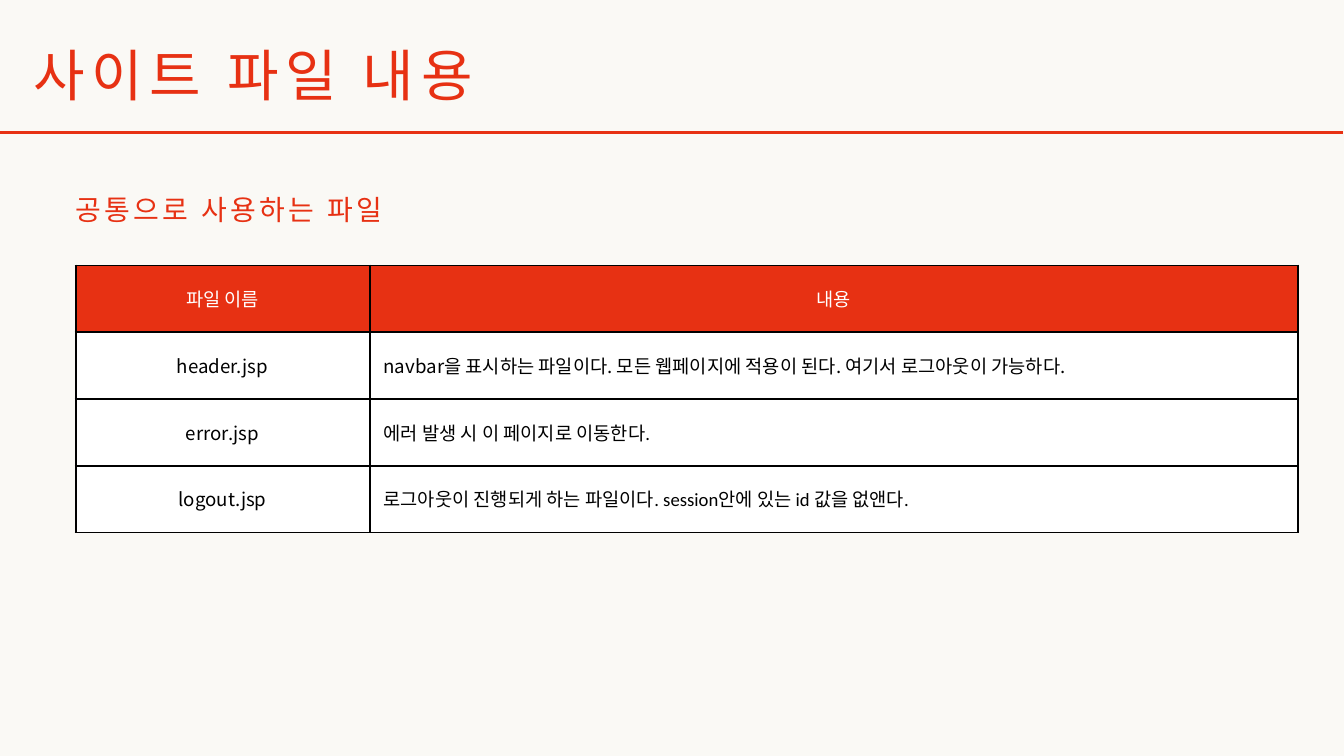
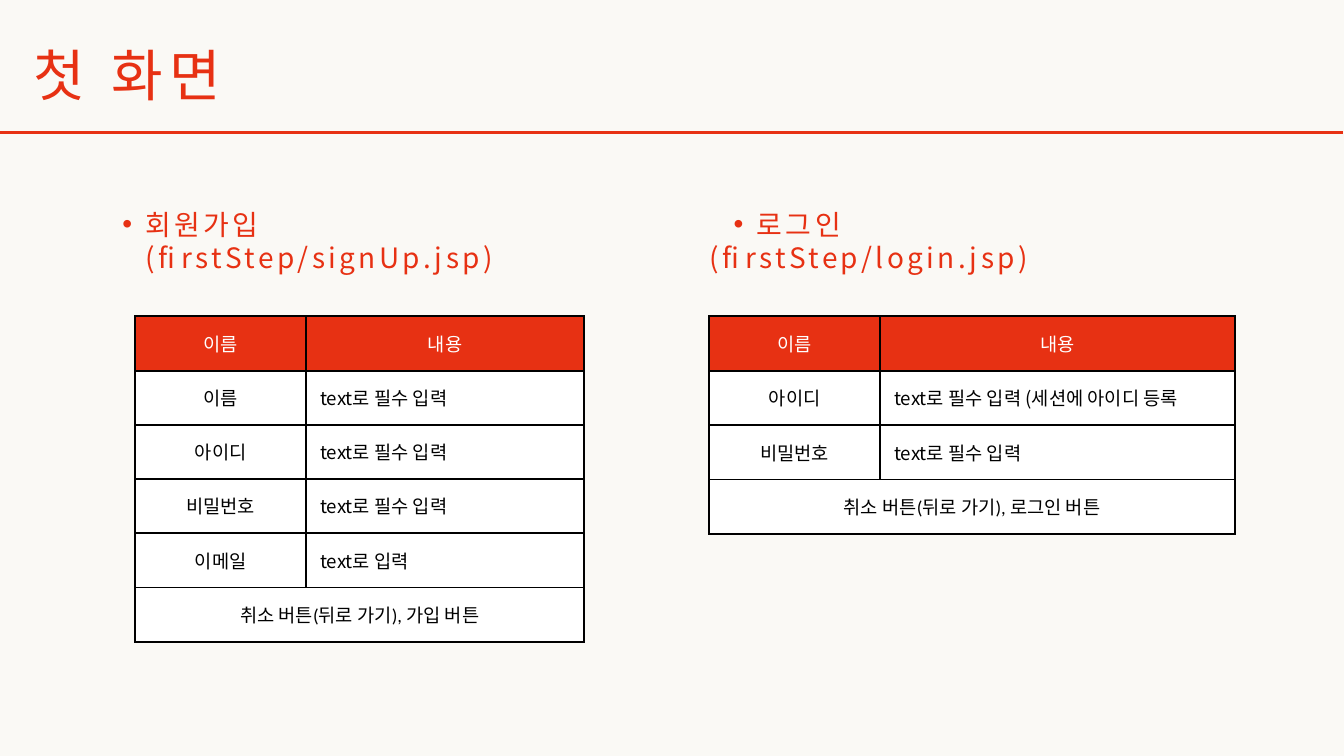
from lxml import etree
from pptx import Presentation
from pptx.dml.color import RGBColor
from pptx.enum.shapes import MSO_CONNECTOR
from pptx.enum.text import MSO_ANCHOR, MSO_AUTO_SIZE, PP_ALIGN
from pptx.oxml.ns import qn
from pptx.util import Pt

LEFT, CENTER = PP_ALIGN.LEFT, PP_ALIGN.CENTER
TOP, MIDDLE = MSO_ANCHOR.TOP, MSO_ANCHOR.MIDDLE
GROW = MSO_AUTO_SIZE.SHAPE_TO_FIT_TEXT
STRAIGHT = MSO_CONNECTOR.STRAIGHT

COLORS = {"paper": "FAF9F5", "accent": "E73113", "white": "FFFFFF", "black": "000000"}
KOREAN, LATIN = "Noto Sans CJK KR", "Calibri"
TITLE_AND_CONTENT, TWO_CONTENT = 1, 3
REQUIRED = ("text로 필수 입력",)

PAGES = [
    {
        "title": "사이트 파일 내용",
        "layout": TITLE_AND_CONTENT,
        "headings": [
            {"at": (81, 206.5, 490, 37.5), "lines": [("공통으로 사용하는 파일", False)]},
        ],
        "tables": [
            {
                "at": (81, 284.5),
                "columns": (315, 995),
                "row_height": 71.5,
                "rows": [
                    [("파일 ", "이름"), ("내용",)],
                    [("header.jsp",),
                     ("navbar을 표시하는 파일이다. 모든 웹페이지에 적용이 된다. 여기서 로그아웃이 가능하다.",)],
                    [("error.jsp",), ("에러 ", "발생 시 이 페이지로 이동한다.")],
                    [("logout.jsp",),
                     ("로그아웃이 ", "진행되게 하는 파일이다. session안에 있는 id 값을 없앤다.")],
                ],
            },
        ],
    },
    {
        "title": "첫 화면",
        "layout": TWO_CONTENT,
        "headings": [
            {"at": (105, 222, 531, 73), "lines": [("회원가입 (firstStep/signUp.jsp)", True)]},
            {"at": (760, 222, 531, 73),
             "lines": [("로그인", True), ("(firstStep/login.jsp)", False)]},
        ],
        "tables": [
            {
                "at": (145, 339),
                "columns": (183, 298),
                "row_height": 58.1,
                "rows": [
                    [("이름",), ("내용",)],
                    [("이름",), REQUIRED],
                    [("아이디",), REQUIRED],
                    [("비밀번호",), REQUIRED],
                    [("이메일",), ("text로 입력",)],
                    [("취소 ", "버튼(뒤로 가기), 가입 버튼")],
                ],
            },
            {
                "at": (760, 339),
                "columns": (183, 380),
                "row_height": 58.3,
                "rows": [
                    [("이름",), ("내용",)],
                    [("아이디",), ("text로 필수 입력 (세션에 아이디 등록",)],
                    [("비밀번호",), REQUIRED],
                    [("취소 ", "버튼(뒤로 가기), 로그인 버튼")],
                ],
            },
        ],
    },
]


def write_spans(para, spans, size, color, line_spacing, tracking=0, align=LEFT):
    para.alignment = align
    para.line_spacing = Pt(line_spacing)
    para.space_before = Pt(0)
    for text, font_name in zip(spans, (KOREAN, LATIN)):
        span = para.add_run()
        span.text = text
        span.font.size = Pt(size)
        span.font.name = font_name
        span.font.color.rgb = RGBColor.from_string(COLORS[color])
        properties = span.font._element
        etree.SubElement(properties, qn("a:ea"), typeface=KOREAN)
        if tracking:
            properties.set("spc", str(round(tracking * 100)))


def place_box(box, at):
    box.left, box.top, box.width, box.height = map(Pt, at)
    frame = box.text_frame
    frame.margin_left = frame.margin_right = frame.margin_top = frame.margin_bottom = 0
    frame.vertical_anchor = TOP
    frame.word_wrap = True
    frame.auto_size = GROW
    return frame


deck = Presentation()
deck.slide_width, deck.slide_height = Pt(1440), Pt(810)
background = deck.slide_master.background.fill
background.solid()
background.fore_color.rgb = RGBColor.from_string(COLORS["paper"])

for page in PAGES:
    slide = deck.slides.add_slide(deck.slide_layouts[page["layout"]])

    rule = slide.shapes.add_connector(STRAIGHT, Pt(0), Pt(142), Pt(1438.5), Pt(142))
    rule.line.color.rgb = RGBColor.from_string(COLORS["accent"])
    rule.line.width = Pt(3)
    etree.SubElement(rule._element.spPr, qn("a:effectLst"))

    frame = place_box(slide.shapes.title, (36, 43, 566, 73.5))
    write_spans(frame.paragraphs[0], [page["title"]], 60, "accent", 72, 7.2)

    for number, heading in enumerate(page["headings"], 1):
        frame = place_box(slide.placeholders[number], heading["at"])
        for index, (text, bulleted) in enumerate(heading["lines"]):
            para = frame.add_paragraph() if index else frame.paragraphs[0]
            write_spans(para, [text], 30, "accent", 36, 3.6)
            para.level = int(bulleted)
            properties = para._p.get_or_add_pPr()
            properties.set("marL", str(Pt(51 if bulleted else 0)))
            properties.set("indent", str(Pt(-25 if bulleted else 0)))
            if bulleted:
                etree.SubElement(properties, qn("a:buChar"), char="•")
            else:
                etree.SubElement(properties, qn("a:buNone"))

    for grid in page["tables"]:
        rows, columns = grid["rows"], grid["columns"]
        left, top = grid["at"]
        table = slide.shapes.add_table(
            len(rows), len(columns), Pt(left), Pt(top),
            Pt(sum(columns)), Pt(grid["row_height"] * len(rows))).table
        table.first_row = table.horz_banding = False
        for column, width in zip(table.columns, columns):
            column.width = Pt(width)

        for row_index, entries in enumerate(rows):
            table.rows[row_index].height = Pt(grid["row_height"])
            is_header = row_index == 0
            for column_index in range(len(columns)):
                cell = table.cell(row_index, column_index)
                cell.vertical_anchor = MIDDLE
                cell.margin_left = cell.margin_right = Pt(15)
                cell.margin_top = cell.margin_bottom = Pt(15)
                for side in ("lnL", "lnR", "lnT", "lnB"):
                    border = etree.SubElement(
                        cell._tc.get_or_add_tcPr(), qn(f"a:{side}"), w=str(Pt(2.25)))
                    paint = etree.SubElement(border, qn("a:solidFill"))
                    etree.SubElement(paint, qn("a:srgbClr"), val=COLORS["black"])
                cell.fill.solid()
                cell.fill.fore_color.rgb = RGBColor.from_string(
                    COLORS["accent" if is_header else "white"])
            for column_index, spans in enumerate(entries):
                centered = is_header or column_index == 0
                write_spans(
                    table.cell(row_index, column_index).text_frame.paragraphs[0], spans, 20,
                    "white" if is_header else "black", 28, align=CENTER if centered else LEFT)
            if len(entries) == 1:
                table.cell(row_index, 0).merge(table.cell(row_index, len(columns) - 1))

deck.save("out.pptx")
